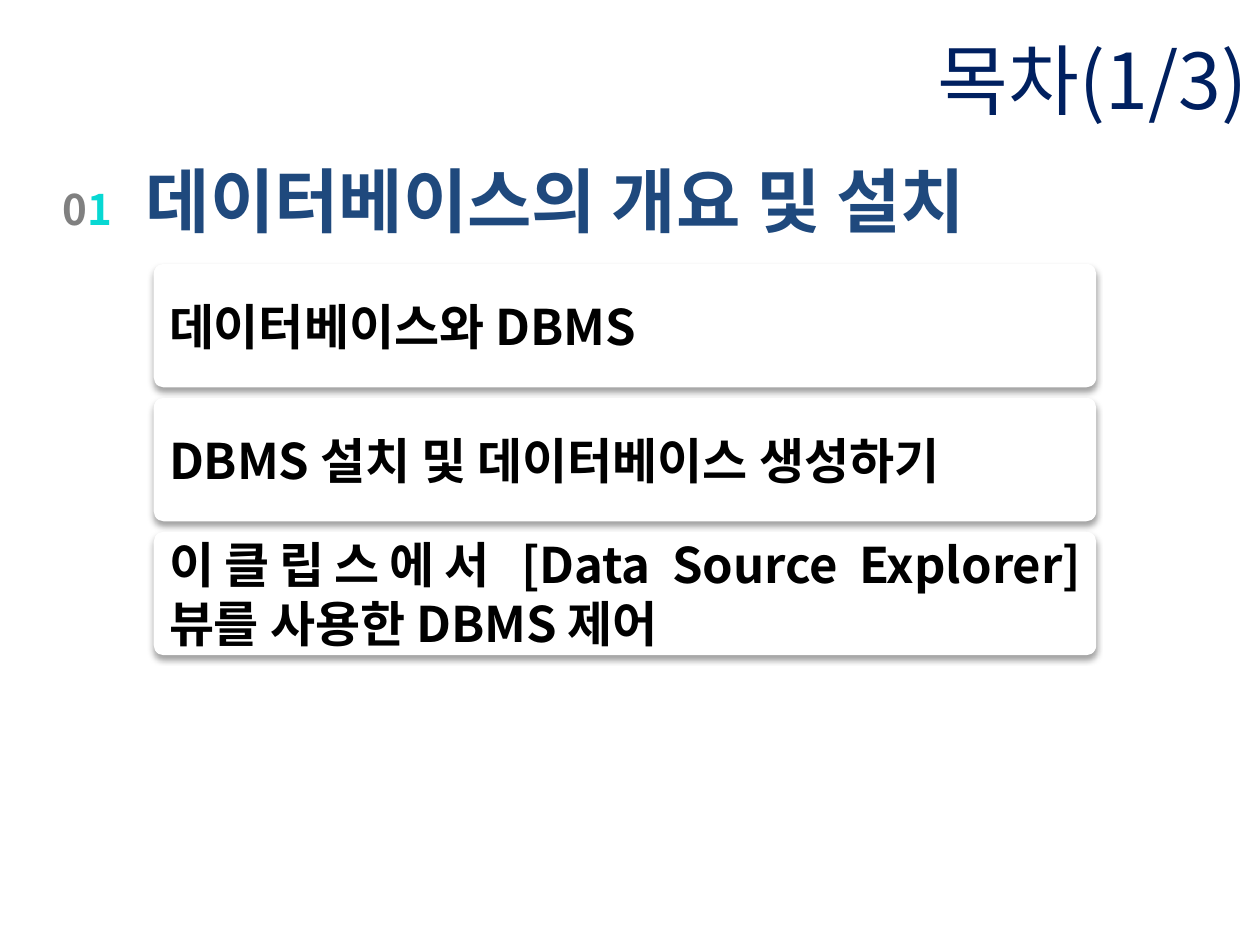
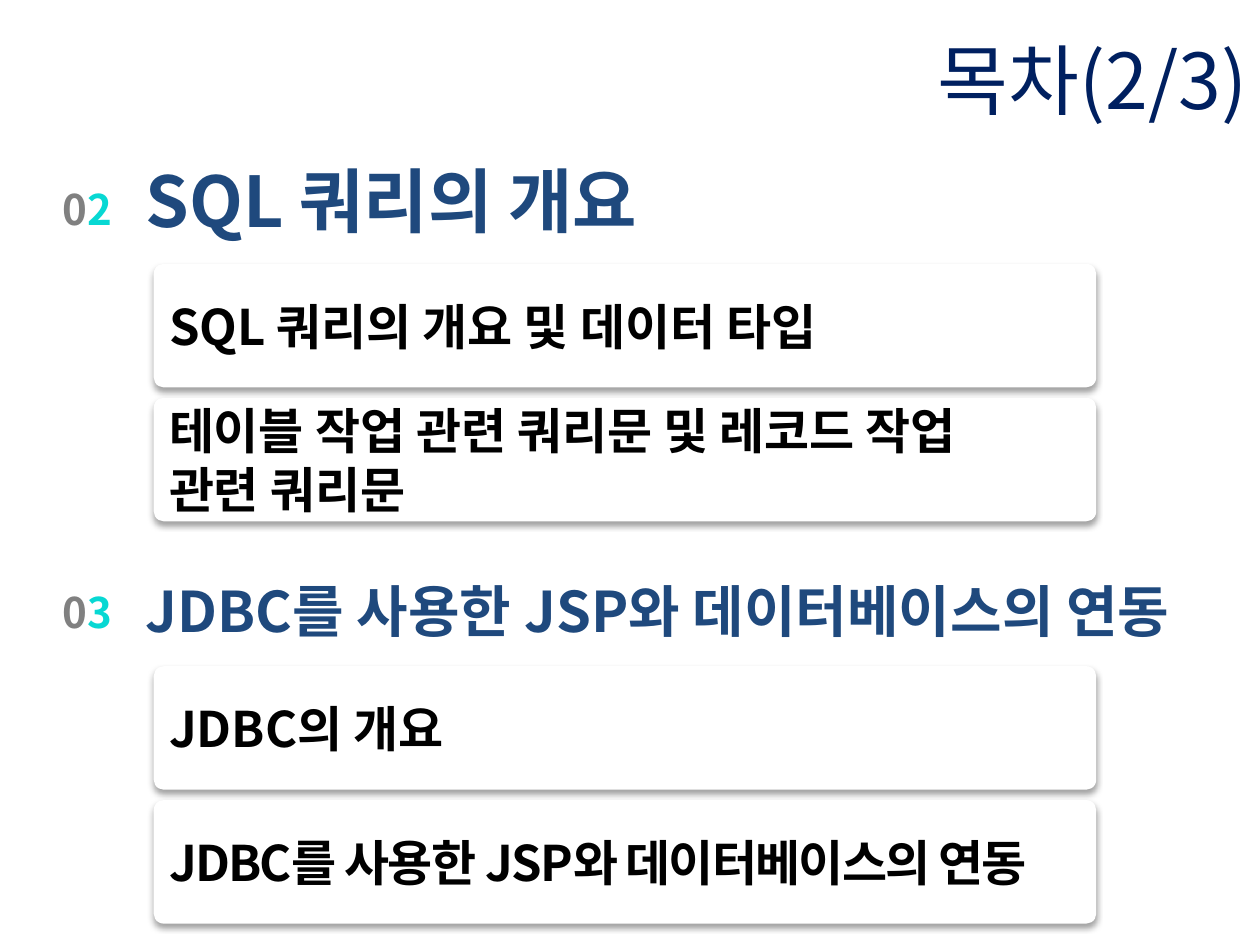
from lxml import etree
from pptx import Presentation
from pptx.dml.color import RGBColor
from pptx.enum.shapes import MSO_SHAPE
from pptx.enum.text import MSO_ANCHOR as Anchor, PP_ALIGN as Align
from pptx.oxml.ns import qn
from pptx.util import Cm, Pt

FONT = "Noto Sans CJK KR"
NAVY = RGBColor(0x00, 0x20, 0x60)
BLUE = RGBColor(0x1F, 0x49, 0x7D)
GRAY = RGBColor(0x80, 0x80, 0x80)
TEAL = RGBColor(0x07, 0xD8, 0xD3)
BLACK = RGBColor(0, 0, 0)
WHITE = RGBColor(0xFF, 0xFF, 0xFF)

# Lengths in centimetres
CARD_OFFSET, CARD_PITCH = 2.2, 2.7
CARD_LEFT, CARD_WIDTH, CARD_HEIGHT = 3.1, 19, 2.49


def write(shape, text, size, color, bold=True, align=Align.LEFT,
          anchor=Anchor.TOP, line_spacing=None, tracking=0):
    """Append text to the first paragraph of a shape; a newline breaks the line."""
    frame = shape.text_frame
    frame.word_wrap = True
    frame.vertical_anchor = anchor
    paragraph = frame.paragraphs[0]
    paragraph.alignment = align
    paragraph.line_spacing = line_spacing
    for number, line in enumerate(text.split("\n")):
        if number:
            paragraph.add_line_break()
        run = paragraph.add_run()
        run.text = line
        run.font.size = Pt(size)
        run.font.bold = bold
        run.font.color.rgb = color
        run.font.name = FONT
        properties = run._r.get_or_add_rPr()
        etree.SubElement(properties, qn("a:ea"), typeface=FONT)
        if tracking:
            properties.set("spc", str(tracking * 100))


def add_card(slide, top):
    """Add a white rounded card with a soft shadow below it."""
    card = slide.shapes.add_shape(
        MSO_SHAPE.ROUNDED_RECTANGLE,
        Cm(CARD_LEFT), Cm(top), Cm(CARD_WIDTH), Cm(CARD_HEIGHT))
    card.adjustments[0] = 0.08
    card.fill.solid()
    card.fill.fore_color.rgb = WHITE
    card.line.fill.background()
    card.shadow.inherit = False
    effects = card._element.spPr.find(qn("a:effectLst"))
    shadow = etree.SubElement(
        effects, qn("a:outerShdw"), blurRad=str(Pt(3.5)), dist=str(Pt(2.2)),
        dir="5400000", rotWithShape="0")
    shade = etree.SubElement(shadow, qn("a:srgbClr"), val="000000")
    etree.SubElement(shade, qn("a:alpha"), val="36000")
    return card


# Section: digit, heading, heading size, top, width, height, card alignment, cards
# Card: text, tracking in points
contents = [
    ("목차(1/3)", [
        ("1", "데이터베이스의 개요 및 설치", 40, 3.12, 19.13, 1.9, Align.JUSTIFY, [
            ("데이터베이스와 DBMS", 0),
            ("DBMS 설치 및 데이터베이스 생성하기", 0),
            ("이클립스에서 [Data Source Explorer] 뷰를 사용한 DBMS 제어", 0),
        ]),
    ]),
    ("목차(2/3)", [
        ("2", "SQL 쿼리의 개요", 40, 3.12, 11.28, 1.9, Align.LEFT, [
            ("SQL 쿼리의 개요 및 데이터 타입", 0),
            ("테이블 작업 관련 쿼리문 및 레코드 작업\n관련 쿼리문", 0),
        ]),
        ("3", "JDBC를 사용한 JSP와 데이터베이스의 연동", 32, 11.23, 22.71, 1.73,
         Align.LEFT, [
             ("JDBC의 개요", 0),
             ("JDBC를 사용한 JSP와 데이터베이스의 연동", -1),
         ]),
    ]),
]

deck = Presentation()
deck.slide_width, deck.slide_height = Cm(25.4), Cm(19.05)

for title_text, sections in contents:
    slide = deck.slides.add_slide(deck.slide_layouts[6])
    title = slide.shapes.add_textbox(0, 0, deck.slide_width, Cm(3.18))
    write(title, title_text, size=44, color=NAVY, bold=False,
          align=Align.RIGHT, anchor=Anchor.MIDDLE)

    for digit, heading_text, size, top, width, height, card_align, cards in sections:
        heading = slide.shapes.add_textbox(Cm(2.69), Cm(top), Cm(width), Cm(height))
        write(heading, heading_text, size=size, color=BLUE, line_spacing=Pt(46))

        section_number = slide.shapes.add_textbox(
            Cm(0.86), Cm(top + 0.46), Cm(1.8), Cm(1.28))
        for figure, color in (("0", GRAY), (digit, TEAL)):
            write(section_number, figure, size=24, color=color, align=Align.CENTER)

        for row, (topic, tracking) in enumerate(cards):
            card = add_card(slide, top + CARD_OFFSET + row * CARD_PITCH)
            write(card, topic, size=28, color=BLACK, align=card_align,
                  anchor=Anchor.MIDDLE, tracking=tracking)

deck.save("out.pptx")
